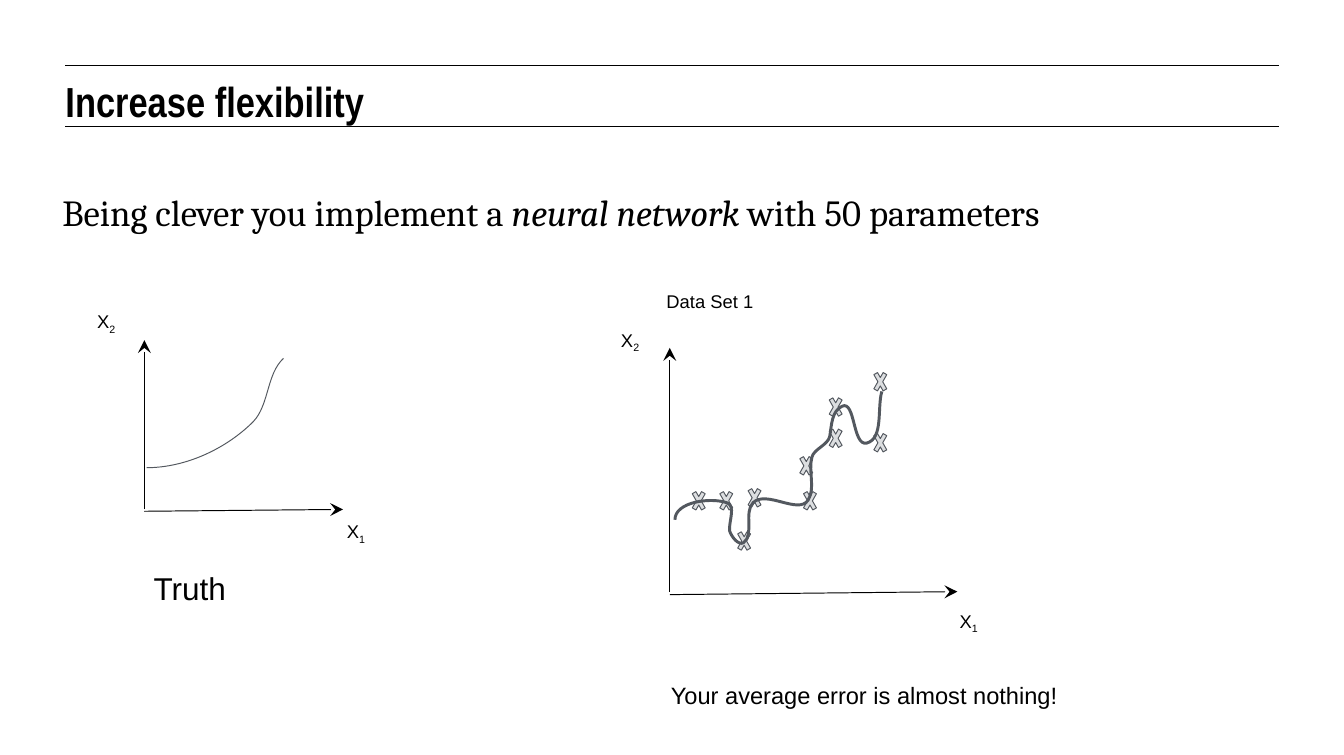
from lxml.etree import SubElement
from pptx import Presentation
from pptx.dml.color import RGBColor
from pptx.enum.shapes import MSO_CONNECTOR, MSO_SHAPE
from pptx.enum.text import MSO_ANCHOR, MSO_AUTO_SIZE, PP_ALIGN
from pptx.oxml.ns import qn
from pptx.util import Cm, Pt

BLACK, GREY, PALE = "000000", "53585F", "DCDEE0"


def rgb(value):
    return RGBColor.from_string(value)


def add_run(p, text, font="Arial", size=14, color=BLACK, bold=False, italic=False, sub=False):
    r = p.add_run()
    r.text = text
    f = r.font
    f.name, f.size, f.bold, f.italic = font, Pt(size), bold, italic
    f.color.rgb = rgb(color)
    if sub:
        r._r.get_or_add_rPr().set("baseline", "-25000")


class Sketch:
    def __init__(self, prs):
        self.s = prs.slides.add_slide(prs.slide_layouts[5])

    def frame(self, sp, inset):
        tf = sp.text_frame
        tf.word_wrap = True
        tf.auto_size = MSO_AUTO_SIZE.NONE
        tf.vertical_anchor = MSO_ANCHOR.TOP
        tf.margin_left = tf.margin_right = tf.margin_top = tf.margin_bottom = Cm(inset)
        p = tf.paragraphs[0]
        p.alignment = PP_ALIGN.LEFT
        return p

    def title(self, text, x, y, w, h):
        sp = self.s.shapes.title
        sp.left, sp.top, sp.width, sp.height = Cm(x), Cm(y), Cm(w), Cm(h)
        add_run(self.frame(sp, 0), text, font="Arial Narrow", size=32, bold=True)

    def text(self, x, y, w, h, *runs, inset=0.25, **style):
        sp = self.s.shapes.add_textbox(Cm(x), Cm(y), Cm(w), Cm(h))
        p = self.frame(sp, inset)
        for text, extra in runs:
            add_run(p, text, **style, **extra)

    def line(self, x1, y1, x2, y2, arrow=False):
        c = self.s.shapes.add_connector(MSO_CONNECTOR.STRAIGHT, Cm(x1), Cm(y1), Cm(x2), Cm(y2))
        c.line.color.rgb = rgb(BLACK)
        c.line.width = Pt(0.75)
        sp_pr = c._element.spPr
        if arrow:
            SubElement(sp_pr.find(qn("a:ln")), qn("a:tailEnd"), type="stealth", w="lg", len="lg")
        SubElement(sp_pr, qn("a:effectLst"))

    def outline(self, sp, width):
        sp.shadow.inherit = False
        sp.line.color.rgb = rgb(GREY)
        sp.line.width = Pt(width)

    def curve(self, start, segments, width):
        """Join the end points, then bend each piece with its two control points."""
        fb = self.s.shapes.build_freeform(Cm(start[0]), Cm(start[1]))
        fb.add_line_segments([(Cm(seg[4]), Cm(seg[5])) for seg in segments], close=False)
        sp = fb.convert_to_shape()
        for piece, seg in zip(list(sp._element.iter(qn("a:lnTo"))), segments):
            piece.tag = qn("a:cubicBezTo")
            piece.remove(piece[0])
            for x, y in zip(seg[::2], seg[1::2]):
                SubElement(piece, qn("a:pt"), x=str(Cm(x) - sp.left), y=str(Cm(y) - sp.top))
        sp.fill.background()
        self.outline(sp, width)

    def cross(self, x, y):
        sp = self.s.shapes.add_shape(MSO_SHAPE.MATH_MULTIPLY, Cm(x), Cm(y), Cm(0.48), Cm(0.84))
        sp.adjustments[0] = 0.235
        sp.fill.solid()
        sp.fill.fore_color.rgb = rgb(PALE)
        self.outline(sp, 0.75)

    def axes(self, x, bottom, top, right, drop, labels):
        self.line(x, bottom, x, top, arrow=True)
        self.line(x, bottom + drop, right, bottom, arrow=True)
        for index, box in labels.items():
            self.text(*box, ("X", {}), (index, {"sub": True}))


def main():
    prs = Presentation()
    prs.slide_width, prs.slide_height = Cm(36.12), Cm(20.29)
    sk = Sketch(prs)

    # Heading between two rules
    for y in (1.75, 3.39):
        sk.line(1.76, y, 34.36, y)
    sk.title("Increase flexibility", 1.76, 2.04, 32.6, 1.19)
    sk.text(1.68, 5.11, 31.5, 2.06, ("Being clever you implement a ", {}),
            ("neural network", {"italic": True}), (" with 50 parameters", {}),
            inset=0, font="Cambria", size=28)

    # Truth plot
    sk.axes(3.88, 13.69, 9.14, 9.22, 0.05,
            {"1": (9.07, 13.79, 2.46, 0.38), "2": (2.36, 8.15, 1.57, 0.38)})
    sk.curve((3.94, 12.57), [(4.98, 12.57, 6.07, 12.07, 6.81, 11.33),
                             (7.24, 10.87, 7.16, 10.06, 7.62, 9.63)], 0.75)

    # Data set plot
    sk.axes(18, 15.9, 9.35, 25.73, 0.08,
            {"1": (25.54, 16.14, 3.56, 0.56), "2": (16.44, 8.59, 2.29, 0.56)})
    for x, y in [(23.42, 9.84), (22.22, 10.52), (23.42, 11.48), (20.04, 12.96), (18.54, 13.04),
                 (19.28, 13.04), (19.76, 14.12), (21.53, 13.04), (22.22, 11.36), (21.43, 12.1)]:
        sk.cross(x, y)
    sk.text(17.66, 7.54, 10, 1.73, ("Data Set 1", {}))
    sk.text(3.88, 15.05, 5.69, 0.84, ("Truth", {}), size=24)
    sk.curve((18.14, 13.97), [(18.14, 13.49, 19.08, 13.36, 19.53, 13.51),
                              (19.79, 13.59, 19.58, 14.02, 19.61, 14.27),
                              (19.66, 14.43, 19.86, 14.68, 19.99, 14.58),
                              (20.27, 14.38, 19.99, 13.77, 20.24, 13.51),
                              (20.6, 13.16, 21.46, 13.84, 21.72, 13.44),
                              (21.92, 13.11, 21.72, 12.67, 21.82, 12.29),
                              (21.87, 12.07, 22.25, 11.96, 22.3, 11.73),
                              (22.35, 11.43, 22.35, 11.05, 22.63, 10.92),
                              (22.99, 10.74, 22.91, 11.99, 23.29, 11.91),
                              (23.75, 11.79, 23.57, 10.97, 23.7, 10.52)], 2.25)
    sk.text(17.78, 18.05, 11.33, 1.73, ("Your average error is almost nothing!", {}), size=18)

    prs.save("out.pptx")


if __name__ == "__main__":
    main()
